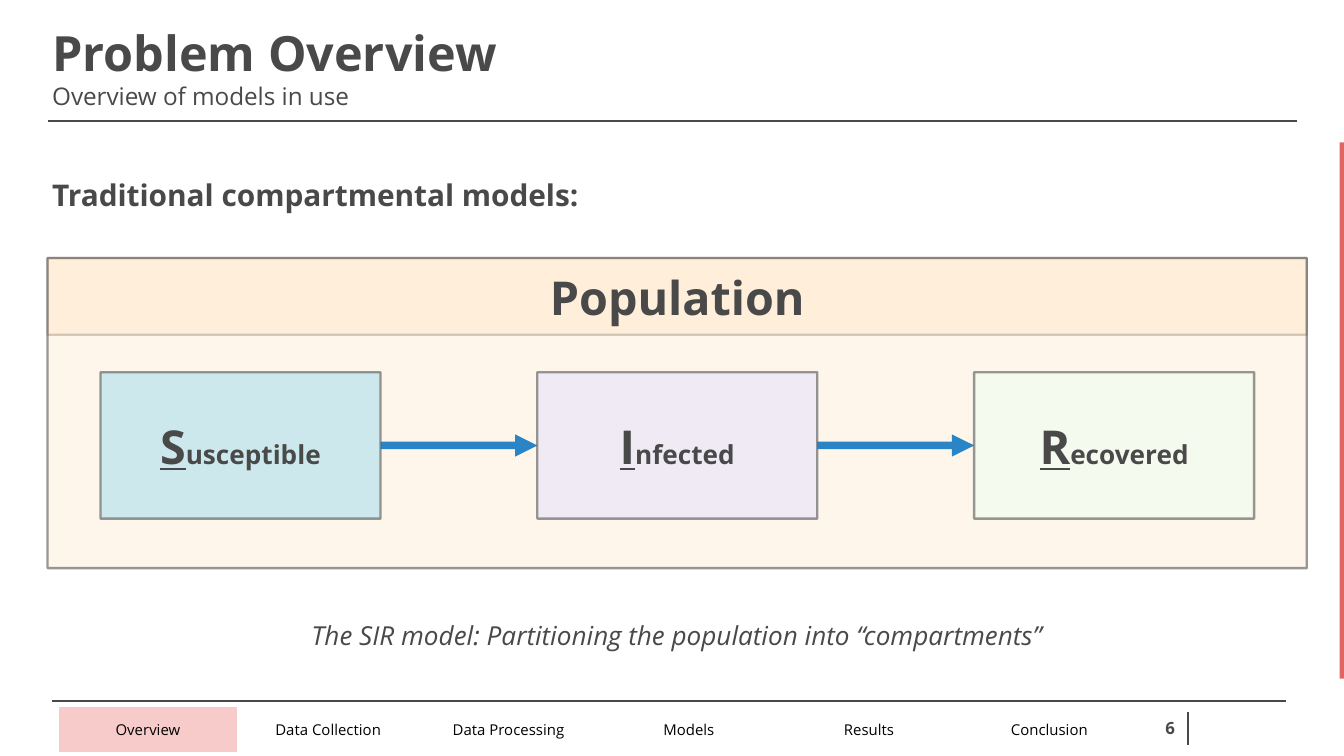
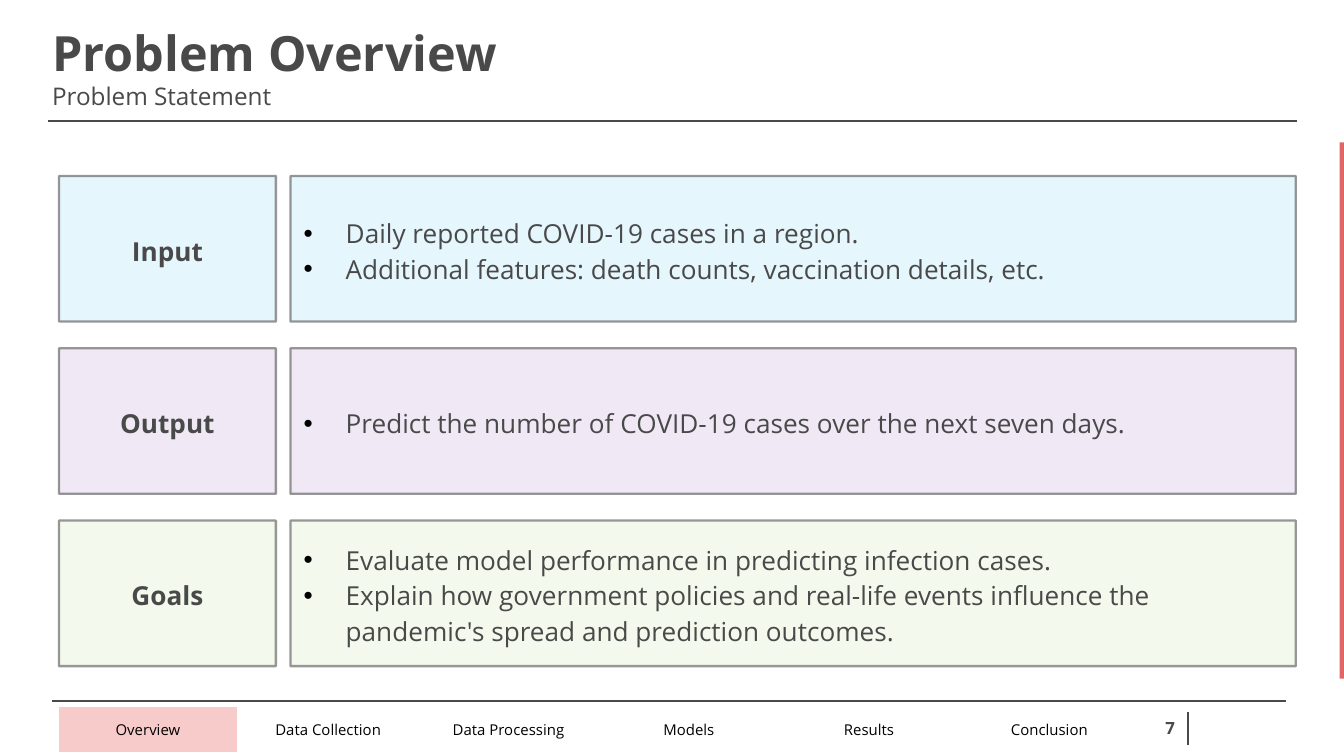
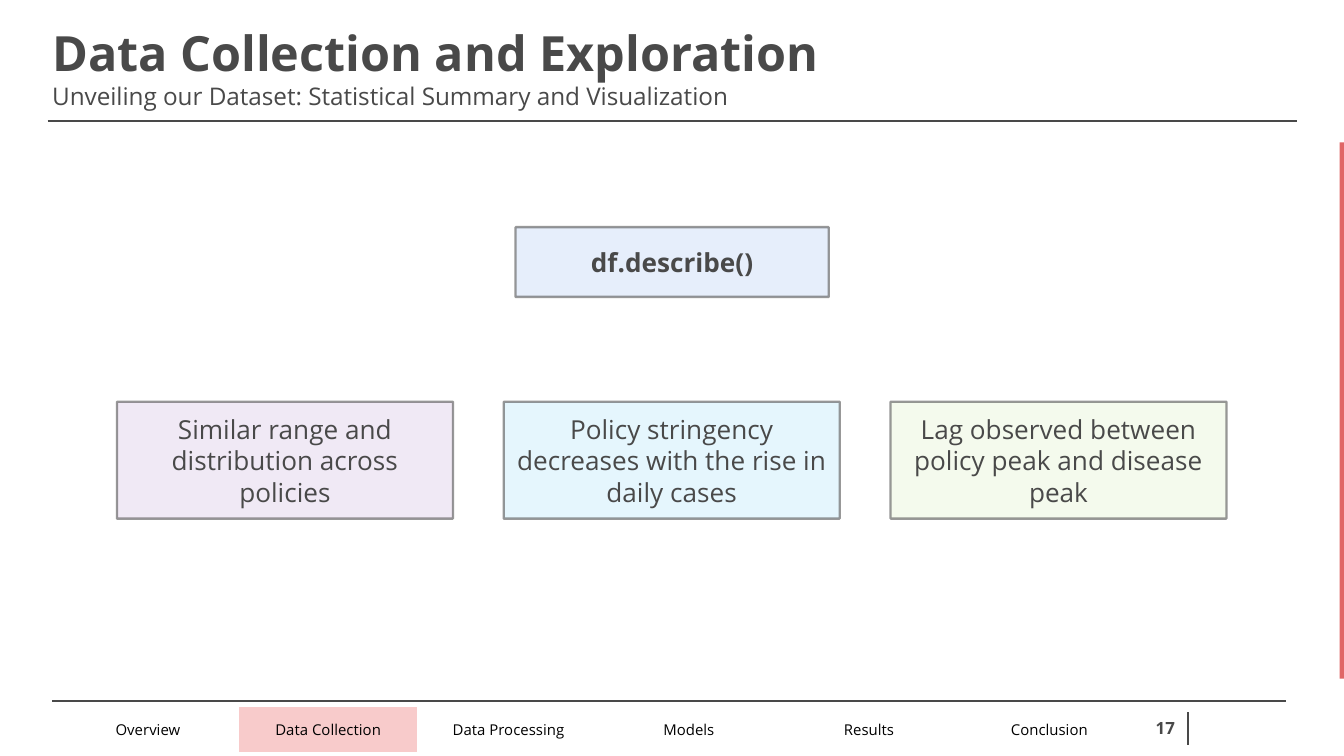
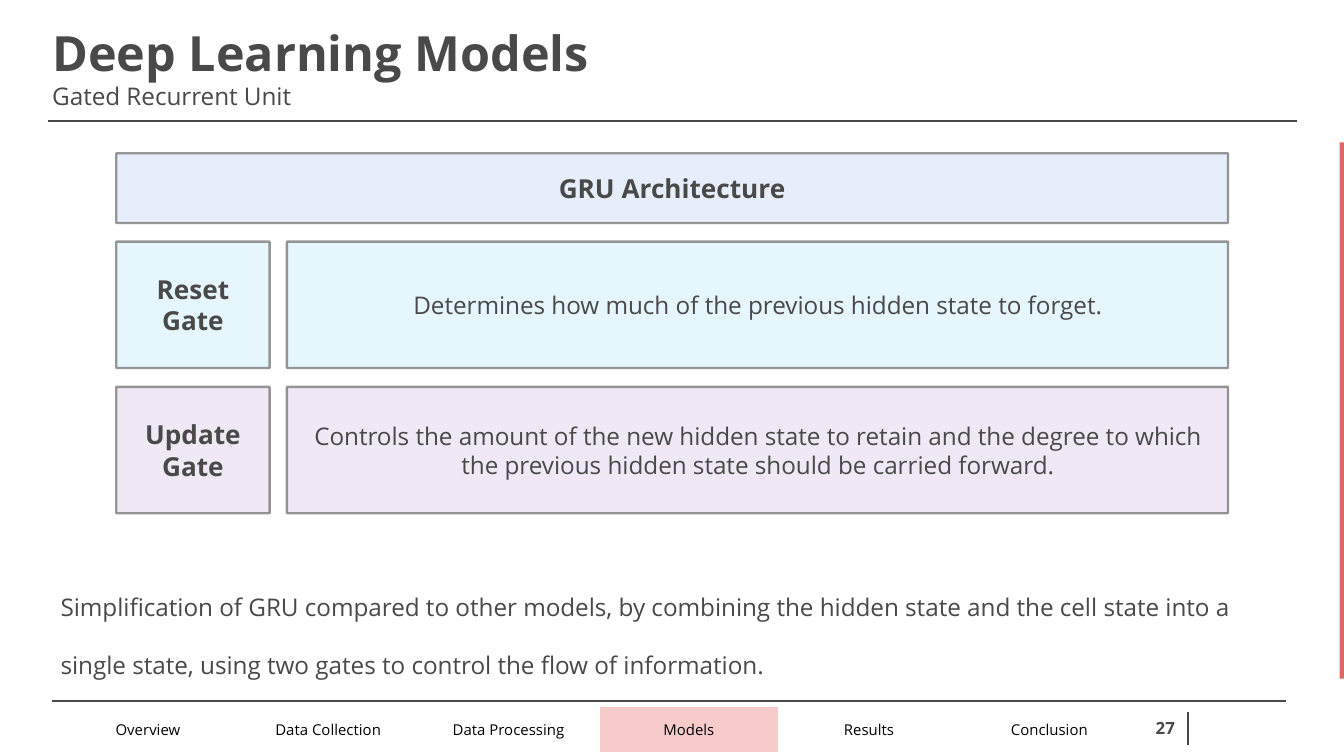
"""Build four slides on epidemic forecasting with a shared title, accent and navigation bar."""
from dataclasses import dataclass

from lxml import etree
from pptx import Presentation
from pptx.dml.color import RGBColor
from pptx.enum.shapes import MSO_CONNECTOR, MSO_SHAPE
from pptx.enum.text import MSO_ANCHOR, MSO_AUTO_SIZE, PP_ALIGN
from pptx.oxml.ns import qn
from pptx.util import Pt

LEFT, CENTER, RIGHT = PP_ALIGN.LEFT, PP_ALIGN.CENTER, PP_ALIGN.RIGHT
TOP, MIDDLE = MSO_ANCHOR.TOP, MSO_ANCHOR.MIDDLE
NO_FIT, GROW = MSO_AUTO_SIZE.NONE, MSO_AUTO_SIZE.SHAPE_TO_FIT_TEXT
RECTANGLE, STRAIGHT = MSO_SHAPE.RECTANGLE, MSO_CONNECTOR.STRAIGHT

FONT = "Open Sans"
INK = RGBColor(0x49, 0x49, 0x49)
BLACK = RGBColor(0x00, 0x00, 0x00)
WHITE = RGBColor(0xFF, 0xFF, 0xFF)
BORDER = RGBColor(0x59, 0x59, 0x59)
ACCENT = RGBColor(0xE0, 0x66, 0x66)
ACTIVE = RGBColor(0xF8, 0xCB, 0xCB)
ORANGE = RGBColor(0xFF, 0xAB, 0x40)
SKY = RGBColor(0x00, 0xB0, 0xF0)
PURPLE = RGBColor(0x70, 0x30, 0xA0)
GREEN = RGBColor(0x92, 0xD0, 0x50)
BLUE = RGBColor(0x0D, 0x5B, 0xDC)
LILAC = RGBColor(0xF0, 0xEA, 0xF5)
MINT = RGBColor(0xF4, 0xFA, 0xED)
ARROW = RGBColor(0x00, 0x70, 0xC0)

SECTIONS = ("Overview", "Data Collection", "Data Processing", "Models", "Results", "Conclusion")
BULLET_INDENT = 22.5


@dataclass(frozen=True)
class Span:
    """A stretch of text in one format."""
    text: str
    size: float = 14
    bold: bool = False
    italic: bool = False
    underline: bool = False
    color: RGBColor = INK


@dataclass(frozen=True)
class Para:
    """A paragraph made of spans."""
    spans: tuple[Span, ...]
    align: PP_ALIGN = CENTER
    spacing: float | None = None
    bullet: bool = False


@dataclass(frozen=True)
class Frame:
    """A position and size in points."""
    left: float
    top: float
    width: float
    height: float

    def lengths(self) -> tuple:
        """Return left, top, width and height as lengths."""
        return Pt(self.left), Pt(self.top), Pt(self.width), Pt(self.height)


@dataclass(frozen=True)
class Panel:
    """A filled rectangle, outlined unless its border opacity is zero."""
    frame: Frame
    fill: RGBColor
    opacity: int = 10
    border_opacity: int = 61
    paras: tuple[Para, ...] = ()
    anchor: MSO_ANCHOR = MIDDLE
    top_inset: float = 3.6


@dataclass(frozen=True)
class Page:
    """The heading and footer values of one slide."""
    title: str
    subtitle: str
    section: str
    number: int
    title_height: float


def line_of(text: str, size: float = 14, align: PP_ALIGN = CENTER,
            spacing: float | None = None, bullet: bool = False, **style) -> Para:
    """Make a paragraph from one span."""
    return Para((Span(text, size, **style),), align, spacing, bullet)


def set_opacity(parent, percent: int) -> None:
    """Set the opacity of the solid colour inside an element."""
    color = parent.find(qn("a:solidFill")).find(qn("a:srgbClr"))
    etree.SubElement(color, qn("a:alpha"), val=str(percent * 1000))


def add_bullet(para) -> None:
    """Give a paragraph a black bullet with a hanging indent."""
    props = para._p.get_or_add_pPr()
    props.set("marL", str(Pt(BULLET_INDENT)))
    props.set("indent", str(-Pt(BULLET_INDENT)))
    color = etree.SubElement(props, qn("a:buClr"))
    etree.SubElement(color, qn("a:srgbClr"), val=str(BLACK))
    etree.SubElement(props, qn("a:buFont"), typeface="Arial")
    etree.SubElement(props, qn("a:buChar"), char="•")


def write_paras(text_frame, paras: tuple[Para, ...]) -> None:
    """Write paragraphs into a text frame."""
    for index, item in enumerate(paras):
        para = text_frame.add_paragraph() if index else text_frame.paragraphs[0]
        para.alignment = item.align
        if item.spacing:
            para.line_spacing = item.spacing
        if item.bullet:
            add_bullet(para)
        for span in item.spans:
            run = para.add_run()
            run.text = span.text
            formats = {"name": FONT, "size": Pt(span.size), "bold": span.bold,
                       "italic": span.italic, "underline": span.underline}
            for name, value in formats.items():
                setattr(run.font, name, value)
            run.font.color.rgb = span.color


def add_panel(slide, panel: Panel):
    """Draw a panel and its text."""
    shape = slide.shapes.add_shape(RECTANGLE, *panel.frame.lengths())
    shape.shadow.inherit = False
    shape.fill.solid()
    shape.fill.fore_color.rgb = panel.fill
    props = shape._element.spPr
    if panel.opacity < 100:
        set_opacity(props, panel.opacity)
    if panel.border_opacity:
        shape.line.color.rgb = BORDER
        shape.line.width = Pt(1.25)
        set_opacity(props.find(qn("a:ln")), panel.border_opacity)
    else:
        shape.line.fill.background()
    if panel.paras:
        formats = {"word_wrap": True, "vertical_anchor": panel.anchor,
                   "margin_top": Pt(panel.top_inset)}
        for name, value in formats.items():
            setattr(shape.text_frame, name, value)
        write_paras(shape.text_frame, panel.paras)
    return shape


def add_text(slide, frame: Frame, paras: tuple[Para, ...],
             inset: float = 3.6, fit: MSO_AUTO_SIZE = GROW) -> None:
    """Draw a text box."""
    box = slide.shapes.add_textbox(*frame.lengths())
    formats = {"word_wrap": True, "auto_size": fit, "vertical_anchor": TOP,
               "margin_top": Pt(inset), "margin_bottom": Pt(inset)}
    for name, value in formats.items():
        setattr(box.text_frame, name, value)
    write_paras(box.text_frame, paras)


def add_line(slide, start: tuple[float, float], end: tuple[float, float],
             color: RGBColor = INK, width: float = 0.75):
    """Draw a straight line without a shadow."""
    line = slide.shapes.add_connector(STRAIGHT, *(Pt(value) for value in start + end))
    line.line.color.rgb = color
    line.line.width = Pt(width)
    etree.SubElement(line._element.spPr, qn("a:effectLst"))
    return line


def add_arrow(slide, source, target) -> None:
    """Join two shapes from right side to left side with an arrow."""
    arrow = add_line(slide, (0, 0), (0, 0), ARROW, 4)
    arrow.begin_connect(source, 3)
    arrow.end_connect(target, 1)
    outline = arrow._element.spPr.find(qn("a:ln"))
    set_opacity(outline, 84)
    etree.SubElement(outline, qn("a:tailEnd"), type="triangle")


def add_cell_borders(cell) -> None:
    """Draw white borders round a table cell."""
    props = cell._tc.get_or_add_tcPr()
    for index, side in enumerate(("a:lnL", "a:lnR", "a:lnT", "a:lnB")):
        border = etree.Element(qn(side), w=str(Pt(1.5)))
        fill = etree.SubElement(border, qn("a:solidFill"))
        etree.SubElement(fill, qn("a:srgbClr"), val=str(WHITE))
        props.insert(index, border)


def add_navigation(slide, active: str) -> None:
    """Draw the section table with the active section marked."""
    frame = Frame(31, 378, 579.6, 23.8)
    table = slide.shapes.add_table(1, len(SECTIONS), *frame.lengths()).table
    table.first_row = table.horz_banding = False
    for cell, section in zip(table.rows[0].cells, SECTIONS):
        cell.fill.solid()
        cell.fill.fore_color.rgb = ACTIVE if section == active else WHITE
        cell.vertical_anchor = MIDDLE
        for side in ("left", "right", "top", "bottom"):
            setattr(cell, f"margin_{side}", Pt(7.2))
        write_paras(cell.text_frame, (line_of(section, 8, color=BLACK),))
        add_cell_borders(cell)


def add_page(deck, page: Page):
    """Add a slide with its accent, heading and footer."""
    slide = deck.slides.add_slide(deck.slide_layouts[6])
    add_panel(slide, Panel(Frame(717.6, 76.3, 2.4, 287.3), ACCENT, 100, 0))
    add_line(slide, (28.1, 375.6), (689, 375.6))
    add_line(slide, (636.5, 381.6), (636.5, 398.9))
    add_line(slide, (25.5, 64.9), (694.8, 64.9))
    add_text(slide, Frame(20.9, 0.7, 669.6, page.title_height),
             (line_of(page.title, 26, LEFT, 1.15, bold=True),
              line_of(page.subtitle, 13, LEFT)), 7.2, NO_FIT)
    add_navigation(slide, page.section)
    add_text(slide, Frame(610.6, 377.3, 25.9, 27),
             (line_of(str(page.number), 9, RIGHT, bold=True),), 7.2, NO_FIT)
    return slide


def build_compartments(deck) -> None:
    """Build the slide on compartmental models."""
    slide = add_page(deck, Page("Problem Overview", "Overview of models in use", "Overview", 6, 64))
    add_text(slide, Frame(20.9, 91.4, 404, 26.6),
             (line_of("Traditional compartmental models:", 16, LEFT, bold=True),))
    add_panel(slide, Panel(Frame(25.5, 138.2, 674.6, 166.2), ORANGE))
    add_panel(slide, Panel(Frame(25.5, 138.2, 674.6, 41.2), ORANGE, border_opacity=28,
                           paras=(line_of("Population", 25, bold=True),),
                           anchor=TOP, top_inset=5.76))
    compartments = (("Susceptible", SKY, 20), ("Infected", LILAC, 100), ("Recovered", MINT, 100))
    boxes = []
    for index, (name, fill, opacity) in enumerate(compartments):
        spans = (Span(name[0], 25, bold=True, underline=True), Span(name[1:], bold=True))
        frame = Frame(53.9 + 234 * index, 199.4, 150, 78.5)
        boxes.append(add_panel(slide, Panel(frame, fill, opacity, paras=(Para(spans),))))
    for source, target in zip(boxes, boxes[1:]):
        add_arrow(slide, source, target)
    add_text(slide, Frame(25.5, 328.3, 674.6, 24.5),
             (line_of("The SIR model: Partitioning the population into “compartments”", italic=True),))


def build_statement(deck) -> None:
    """Build the slide on the problem statement."""
    slide = add_page(deck, Page("Problem Overview", "Problem Statement", "Overview", 7, 57.6))
    rows = (
        ("Input", SKY, ("Daily reported COVID-19 cases in a region.",
                        "Additional features: death counts, vaccination details, etc.")),
        ("Output", PURPLE, ("Predict the number of COVID-19 cases over the next seven days.",)),
        ("Goals", GREEN, ("Evaluate model performance in predicting infection cases.",
                          "Explain how government policies and real-life events influence the "
                          "pandemic's spread and prediction outcomes.")),
    )
    for index, (label, fill, points) in enumerate(rows):
        top = 94.3 + 92.3 * index
        add_panel(slide, Panel(Frame(31.6, top, 116.2, 78), fill,
                               paras=(line_of(label, spacing=1.14, bold=True),)))
        bullets = tuple(line_of(point, 14, LEFT, 1.14, True) for point in points)
        add_panel(slide, Panel(Frame(155.6, top, 538.6, 78), fill, paras=bullets))


def build_summary(deck) -> None:
    """Build the slide on the statistical summary."""
    slide = add_page(deck, Page("Data Collection and Exploration",
                                "Unveiling our Dataset: Statistical Summary and Visualization",
                                "Data Collection", 17, 84.2))
    add_panel(slide, Panel(Frame(276.2, 121.7, 167.8, 37.4), BLUE,
                           paras=(line_of("df.describe()", bold=True),)))
    findings = (("Similar range and distribution across policies", PURPLE, 10),
                ("Policy stringency decreases with the rise in daily cases", SKY, 10),
                ("Lag observed between policy peak and disease peak", MINT, 100))
    for index, (text, fill, opacity) in enumerate(findings):
        add_panel(slide, Panel(Frame(62.7 + 207.2 * index, 215.3, 180, 62.6), fill, opacity,
                               paras=(line_of(text),)))


def build_gates(deck) -> None:
    """Build the slide on the gated recurrent unit."""
    slide = add_page(deck, Page("Deep Learning Models", "Gated Recurrent Unit", "Models", 27, 57.6))
    add_panel(slide, Panel(Frame(62.3, 82.1, 595.6, 37.4), BLUE,
                           paras=(line_of("GRU Architecture", bold=True),)))
    gates = (("Reset", SKY, "Determines how much of the previous hidden state to forget."),
             ("Update", PURPLE, "Controls the amount of the new hidden state to retain and the degree "
                                "to which the previous hidden state should be carried forward."))
    for index, (name, fill, purpose) in enumerate(gates):
        top = 129.5 + 77.8 * index
        label = tuple(line_of(word, bold=True) for word in (name, "Gate"))
        add_panel(slide, Panel(Frame(62.3, top, 82.2, 67.7), fill, paras=label))
        add_panel(slide, Panel(Frame(153.7, top, 504.2, 67.7), fill, paras=(line_of(purpose, 13),)))
    add_text(slide, Frame(25.4, 298.1, 659.5, 65.5),
             (line_of("Simplification of GRU compared to other models, by combining the hidden state "
                      "and the cell state into a single state, using two gates to control the flow "
                      "of information.", 13, LEFT, 2),))


def main() -> None:
    """Build and save the deck."""
    deck = Presentation()
    deck.slide_width, deck.slide_height = Pt(720), Pt(405)
    for build in (build_compartments, build_statement, build_summary, build_gates):
        build(deck)
    deck.save("out.pptx")


if __name__ == "__main__":
    main()
